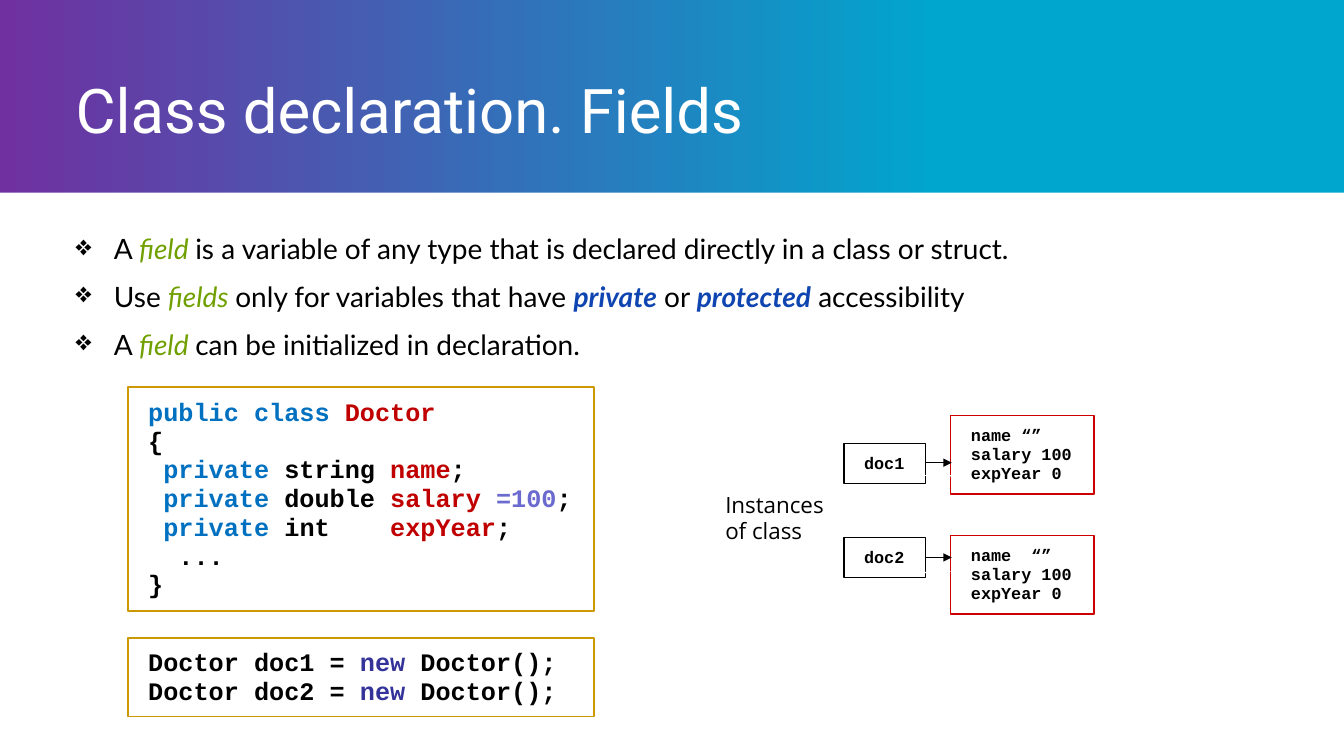
"""Build the slide on fields in a class declaration."""
from lxml import etree
from pptx import Presentation
from pptx.dml.color import RGBColor
from pptx.enum.shapes import MSO_CONNECTOR, MSO_SHAPE
from pptx.enum.text import MSO_ANCHOR, MSO_AUTO_SIZE, PP_ALIGN
from pptx.oxml.ns import qn
from pptx.util import Inches, Pt

RECT, ROUNDED = MSO_SHAPE.RECTANGLE, MSO_SHAPE.ROUNDED_RECTANGLE
STRAIGHT = MSO_CONNECTOR.STRAIGHT
TOP, MIDDLE = MSO_ANCHOR.TOP, MSO_ANCHOR.MIDDLE
LEFT = PP_ALIGN.LEFT
GROW = MSO_AUTO_SIZE.SHAPE_TO_FIT_TEXT

COLORS = {
    "white": "FFFFFF", "black": "000000", "cyan": "00A6CE", "purple": "7030A0",
    "term": "70A000", "access": "0F45B1", "keyword": "0070C0", "name": "C00000",
    "value": "6B6BCF", "new": "333399", "gold": "CC9900", "red": "CC0000",
}


def color(key):
    return RGBColor.from_string(COLORS[key])


def write(shape, lines, font, size, bold=False, spacing=None, anchor=MIDDLE,
          margins=(0.2, 0.1, 0.2, 0.1), wrap=False, grow=True):
    """Fill a shape with lines, each a list of (text, colour key) runs."""
    frame = shape.text_frame
    frame.word_wrap = wrap
    frame.vertical_anchor = anchor
    frame.auto_size = GROW if grow else MSO_AUTO_SIZE.NONE
    (frame.margin_left, frame.margin_top,
     frame.margin_right, frame.margin_bottom) = map(Inches, margins)
    for number, line in enumerate(lines):
        paragraph = frame.add_paragraph() if number else frame.paragraphs[0]
        paragraph.alignment = LEFT
        paragraph.line_spacing = spacing
        for text, key in line:
            run = paragraph.add_run()
            run.text = text
            run.font.name = font
            run.font.size = Pt(size)
            run.font.bold = bold or key == "access"
            run.font.italic = key in ("term", "access")
            run.font.color.rgb = color(key)


prs = Presentation()
prs.slide_width, prs.slide_height = Inches(13.33), Inches(7.5)
slide = prs.slides.add_slide(prs.slide_layouts[6])
shapes = slide.shapes

backdrop = slide.background.fill
backdrop.gradient()
backdrop.gradient_angle = 180
for stop, position, key in zip(backdrop.gradient_stops, (0.3, 1), ("cyan", "purple")):
    stop.position = position
    stop.color.rgb = color(key)

page = shapes.add_shape(RECT, 0, Inches(1.91), Inches(13.33), Inches(5.59))
page.shadow.inherit = False
page.fill.solid()
page.fill.fore_color.rgb = color("white")
page.line.fill.background()

title = shapes.add_textbox(Inches(0.75), Inches(0.75), Inches(11.83), Inches(0.75))
write(title, [[("Class declaration. Fields", "white")]], "Roboto", 44, spacing=0.9,
      margins=(0, 0.05, 0.1, 0.05), wrap=True, grow=False)

rules = shapes.add_textbox(Inches(0.75), Inches(2.25), Inches(11.83), Inches(3.75))
write(rules, [
    [("A ", "black"), ("field ", "term"),
     ("is a variable of any type that is declared directly in a class or struct.", "black")],
    [("Use ", "black"), ("fields ", "term"), ("only for variables that have ", "black"),
     ("private", "access"), (" or ", "black"), ("protected", "access"),
     (" accessibility", "black")],
    [("A ", "black"), ("field ", "term"), ("can be initialized in declaration.", "black")],
], "Lato", 20, anchor=TOP, margins=(0, 0.05, 0.1, 0.05), wrap=True, grow=False)
for rule in rules.text_frame.paragraphs:
    rule.space_before = Pt(10)
    properties = rule._p.get_or_add_pPr()
    properties.set("marL", str(Inches(0.38)))
    properties.set("indent", str(Inches(-0.38)))
    etree.SubElement(properties, qn("a:buChar"), char="❖")

creation = [[(f"Doctor {doc} = ", "black"), ("new", "new"), (" Doctor();", "black")]
            for doc in ("doc1", "doc2")]
declaration = [
    [("public class ", "keyword"), ("Doctor", "name")],
    [("{", "black")],
    [(" private", "keyword"), (" string ", "black"), ("name", "name"), (";", "black")],
    [(" private", "keyword"), (" double ", "black"), ("salary ", "name"),
     ("=100", "value"), (";", "black")],
    [(" private ", "keyword"), ("int    ", "black"), ("expYear", "name"), (";", "black")],
    [("  ...", "black")],
    [("}", "black")],
]
boxes = [
    (1.27, 6.33, 4.62, 0.78, "gold", creation, 18),
    (1.27, 3.84, 4.62, 2.22, "gold", declaration, 18),
]
for doc, reference_top, fields_top, name in (
        ("doc1", 4.4, 4.12, "name “”"), ("doc2", 5.33, 5.31, "name  “”")):
    fields = [[(text, "black")] for text in (name, "salary 100", "expYear 0")]
    boxes += [
        (9.43, fields_top, 1.42, 0.78, "red", fields, 12),
        (8.37, reference_top, 0.81, 0.4, "black", [[(doc, "black")]], 12),
    ]
for left, top, width, height, border, lines, size in boxes:
    box = shapes.add_shape(RECT, Inches(left), Inches(top), Inches(width), Inches(height))
    box.shadow.inherit = False
    if border == "gold":
        box.fill.solid()
        box.fill.fore_color.rgb = color("white")
    else:
        box.fill.background()
    box.line.color.rgb = color(border)
    box.line.width = Pt(1)
    write(box, lines, "Courier New", size, bold=True, spacing=0.95, wrap=lines is creation)

caption = shapes.add_shape(ROUNDED, Inches(7.07), Inches(4.79), Inches(1.3), Inches(0.69))
caption.adjustments[0] = 0.125
caption.shadow.inherit = False
caption.fill.background()
caption.line.fill.background()
write(caption, [[("Instances", "black")], [("of class", "black")]], "Open Sans", 16,
      margins=(0.1, 0.05, 0.1, 0.05))

for x1, y1, x2, y2, key, width, head in (
        (8.91, 4.72, 9.44, 4.72, "white", 1, "stealth"),
        (8.91, 5.69, 9.43, 5.67, "white", 1, "stealth"),
        (9.18, 4.59, 9.44, 4.59, "black", 0.5, "triangle"),
        (9.18, 5.53, 9.44, 5.53, "black", 0.5, "triangle")):
    arrow = shapes.add_connector(STRAIGHT, Inches(x1), Inches(y1), Inches(x2), Inches(y2))
    arrow.line.color.rgb = color(key)
    arrow.line.width = Pt(width)
    etree.SubElement(arrow.line._get_or_add_ln(), qn("a:tailEnd"), type=head)
    etree.SubElement(arrow._element.spPr, qn("a:effectLst"))

prs.save("out.pptx")
